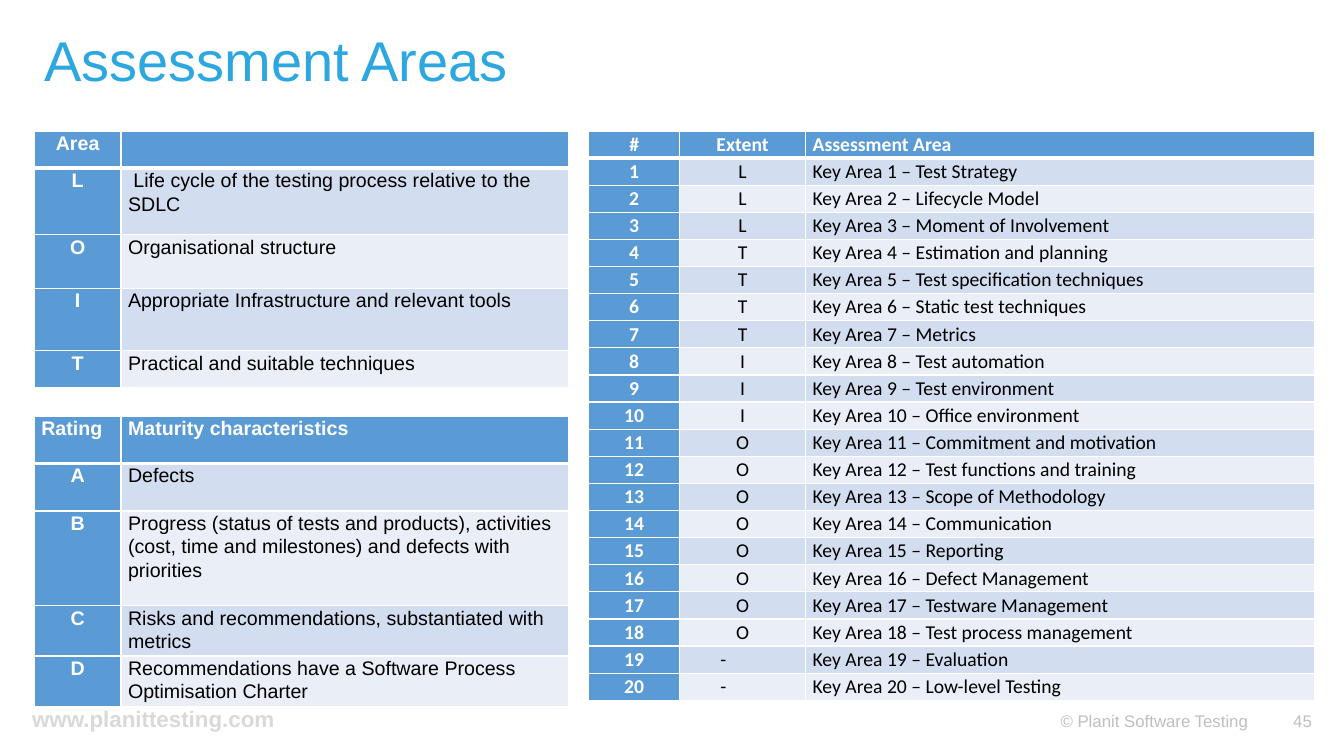
from pptx import Presentation
from pptx.dml.color import RGBColor
from pptx.enum.text import MSO_ANCHOR as Anchor, PP_ALIGN as Align
from pptx.oxml import parse_xml
from pptx.oxml.ns import nsdecls
from pptx.util import Inches, Pt

TITLE_BLUE = RGBColor(0x2D, 0xA7, 0xDF)
HEADER_BLUE = RGBColor(0x5B, 0x9B, 0xD5)
BAND_DARK = RGBColor(0xD2, 0xDE, 0xEF)
BAND_LIGHT = RGBColor(0xEA, 0xEF, 0xF7)
FOOTER_GREY = RGBColor(0xBF, 0xBF, 0xBF)
ADDRESS_GREY = RGBColor(0xD9, 0xD9, 0xD9)
WHITE = RGBColor(0xFF, 0xFF, 0xFF)
BLACK = RGBColor(0, 0, 0)

DASH_MARGIN = 0.45  # wider right margin, moves the dash left of centre

AREAS = [
    ("Area", ""),
    ("L", " Life cycle of the testing process relative to the SDLC"),
    ("O", "Organisational structure"),
    ("I", "Appropriate Infrastructure and relevant tools"),
    ("T", "Practical and suitable techniques"),
]
RATINGS = [
    ("Rating", "Maturity characteristics"),
    ("A", "Defects"),
    ("B", "Progress (status of tests and products), activities "
          "(cost, time and milestones) and defects with priorities"),
    ("C", "Risks and recommendations, substantiated with metrics"),
    ("D", "Recommendations have a Software Process Optimisation Charter"),
]
EXTENTS = "LLLTTTTIIIOOOOOOOO--"
KEY_AREAS = [
    "Test Strategy", "Lifecycle Model", "Moment of Involvement",
    "Estimation and planning", "Test specification techniques",
    "Static test techniques", "Metrics", "Test automation",
    "Test environment", "Office environment", "Commitment and motivation",
    "Test functions and training", "Scope of Methodology", "Communication",
    "Reporting", "Defect Management", "Testware Management",
    "Test process management", "Evaluation", "Low-level Testing",
]


def set_font(font, color, **values):
    for name, value in values.items():
        setattr(font, name, value)
    font.color.rgb = color


def add_text(page, text, place, size, color, bold=False, align=Align.LEFT,
             anchor=Anchor.MIDDLE, spacing=1.0):
    box = page.shapes.add_textbox(*map(Inches, place))
    frame = box.text_frame
    frame.word_wrap = True
    frame.vertical_anchor = anchor
    para = frame.paragraphs[0]
    para.alignment = align
    para.line_spacing = spacing
    span = para.add_run()
    span.text = text
    set_font(span.font, color, name="Arial", size=Pt(size), bold=bold)


def add_borders(cell, top, bottom):
    properties = cell._tc.get_or_add_tcPr()
    for side, points in (("L", 1), ("R", 1), ("T", top), ("B", bottom)):
        properties.append(parse_xml(
            f'<a:ln{side} {nsdecls("a")} w="{Pt(points)}"><a:solidFill>'
            f'<a:srgbClr val="{WHITE}"/></a:solidFill></a:ln{side}>'))


def fill_cell(cell, text, fill, color, bold, align, font_name):
    cell.fill.solid()
    cell.fill.fore_color.rgb = fill
    margins = {
        "margin_left": 0.07,
        "margin_right": DASH_MARGIN if text == "-" else 0.07,
        "margin_top": 0,
        "margin_bottom": 0,
    }
    for name, value in margins.items():
        setattr(cell, name, Inches(value))
    para = cell.text_frame.paragraphs[0]
    para.alignment = align
    para.line_spacing = 1.07
    if text:
        span = para.add_run()
        span.text = text
        set_font(span.font, color, name=font_name, size=Pt(14), bold=bold)


def add_grid(page, rows, left, top, widths, heights, font_name):
    """Banded table: last column left aligned, the others centred."""
    frame = page.shapes.add_table(
        len(rows), len(widths), Inches(left), Inches(top),
        Inches(sum(widths)), Inches(sum(heights)))
    table = frame.table
    for column, width in zip(table.columns, widths):
        column.width = Inches(width)
    for r, (texts, height) in enumerate(zip(rows, heights)):
        table.rows[r].height = Inches(height)
        for c, text in enumerate(texts):
            cell = table.cell(r, c)
            heading = r == 0 or c == 0
            band = BAND_DARK if r % 2 else BAND_LIGHT
            last = c == len(widths) - 1
            align = Align.LEFT if last or text == "Rating" else Align.CENTER
            add_borders(cell, 3 if r == 1 else 1, 3 if r == 0 else 1)
            fill_cell(cell, text, HEADER_BLUE if heading else band,
                      WHITE if heading else BLACK, heading, align, font_name)


def main():
    deck = Presentation()
    deck.slide_width, deck.slide_height = Inches(13.33), Inches(7.5)
    page = deck.slides.add_slide(deck.slide_layouts[6])

    # Title and web address
    add_text(page, "www.planittesting.com", (0.22, 6.95, 6.27, 0.37), 16,
             ADDRESS_GREY, bold=True, anchor=Anchor.TOP)
    add_text(page, "Assessment Areas", (0.34, 0.23, 11.5, 0.79), 40,
             TITLE_BLUE, spacing=0.9)

    # Footer
    add_text(page, "© Planit Software Testing", (10.42, 6.95, 2.69, 0.4), 12,
             FOOTER_GREY)
    add_text(page, "45", (12.6, 6.95, 0.51, 0.4), 12, FOOTER_GREY,
             align=Align.RIGHT)

    # Key areas on the right
    key_rows = [("#", "Extent", "Assessment Area")]
    for number, (extent, name) in enumerate(zip(EXTENTS, KEY_AREAS), 1):
        key_rows.append((str(number), extent, f"Key Area {number} – {name}"))
    row_height = 5.65 / len(key_rows)
    add_grid(page, key_rows, 5.84, 1.3, [0.9, 1.25, 5.05],
             [row_height] * len(key_rows), "Calibri")

    # Ratings and areas on the left
    left_widths = [0.86, 4.44]
    add_grid(page, RATINGS, 0.34, 4.13, left_widths,
             [0.47, 0.47, 0.94, 0.47, 0.47], "Arial")
    add_grid(page, AREAS, 0.34, 1.3, left_widths,
             [0.37, 0.66, 0.53, 0.62, 0.37], "Arial")

    deck.save("out.pptx")


if __name__ == "__main__":
    main()
